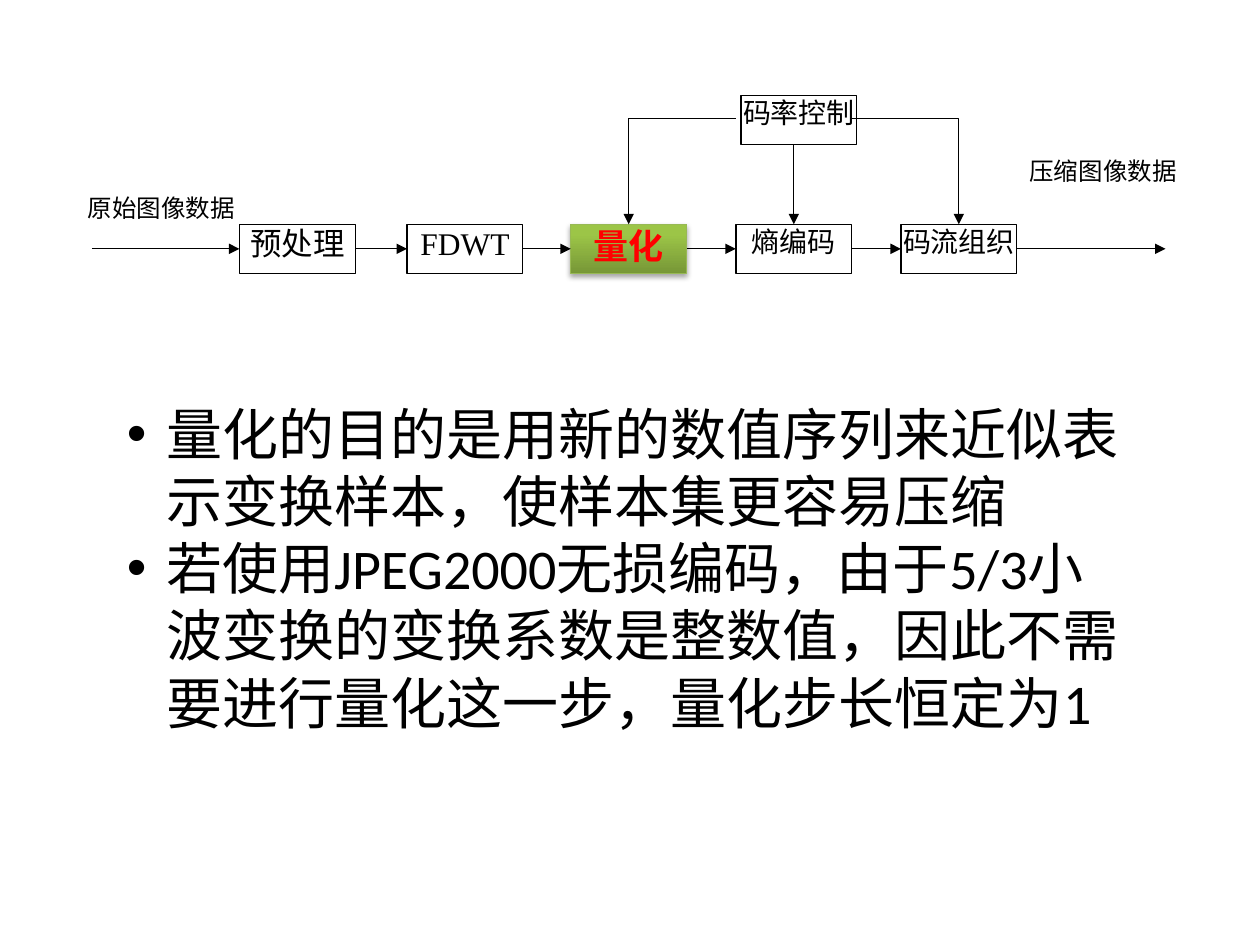
"""Build the slide on quantization in the JPEG2000 coding chain."""
from lxml.etree import SubElement
from pptx import Presentation
from pptx.dml.color import RGBColor
from pptx.enum.shapes import MSO_CONNECTOR as Link, MSO_SHAPE as Shape
from pptx.enum.text import MSO_ANCHOR as Anchor, PP_ALIGN as Align
from pptx.oxml import parse_xml
from pptx.oxml.ns import nsdecls, qn
from pptx.util import Inches, Pt

BLACK = RGBColor(0x00, 0x00, 0x00)
WHITE = RGBColor(0xFF, 0xFF, 0xFF)
RED = RGBColor(0xFF, 0x00, 0x00)
GREEN_DARK = RGBColor(0x77, 0x97, 0x37)
GREEN_LIGHT = RGBColor(0x9C, 0xC5, 0x47)
GREEN_EDGE = RGBColor(0x98, 0xB9, 0x55)

STAGES = [
    ("预处理", 18, 1.9),
    ("FDWT", 18, 3.23),
    ("量化", 20, 4.53),
    ("熵编码", 16, 5.84),
    ("码流组织", 16, 7.15),
]
CURRENT = 2
LABELS = [
    ("压缩图像数据", 8.03, 1.24, 1.45, 0.45),
    ("原始图像数据", 0.67, 1.53, 1.22, 0.39),
]
POINTS = [
    "量化的目的是用新的数值序列来近似表示变换样本，使样本集更容易压缩",
    "若使用JPEG2000无损编码，由于5/3小波变换的变换系数是整数值，"
    "因此不需要进行量化这一步，量化步长恒定为1",
]
BOX_WIDTH, BOX_HEIGHT = 0.92, 0.39
STAGE_TOP, CONTROL_LEFT, CONTROL_TOP = 1.78, 5.88, 0.76
FLOW_Y = STAGE_TOP + BOX_HEIGHT / 2
BRANCH_Y = 0.94


def add_box(page, text, size, left, top, width=BOX_WIDTH, height=BOX_HEIGHT, edge=BLACK):
    box = page.shapes.add_shape(
        Shape.RECTANGLE, Inches(left), Inches(top), Inches(width), Inches(height))
    box.shadow.inherit = False
    box.fill.solid()
    box.fill.fore_color.rgb = WHITE
    if edge is None:
        box.line.fill.background()
    else:
        box.line.color.rgb = edge
        box.line.width = Pt(0.75)
    frame = box.text_frame
    frame.margin_left = frame.margin_top = frame.margin_right = frame.margin_bottom = 0
    frame.vertical_anchor = Anchor.TOP
    frame.word_wrap = True
    para = frame.paragraphs[0]
    para.text = text
    para.alignment = Align.CENTER
    para.font.name = "Times New Roman"
    para.font.size = Pt(size)
    para.font.color.rgb = BLACK
    return box


def highlight(box):
    box.fill.gradient()
    box.fill.gradient_angle = 90
    for stop, color, position in zip(
            box.fill.gradient_stops, (GREEN_DARK, GREEN_LIGHT), (0, 0.8)):
        stop.color.rgb = color
        stop.position = position
    box.line.color.rgb = GREEN_EDGE
    font = box.text_frame.paragraphs[0].font
    font.bold = True
    font.color.rgb = RED
    effects = box._element.spPr.find(qn("a:effectLst"))
    effects.append(parse_xml(
        f'<a:outerShdw {nsdecls("a")} blurRad="39370" dist="22860" dir="5400000" '
        'rotWithShape="0"><a:srgbClr val="000000"><a:alpha val="35000"/>'
        '</a:srgbClr></a:outerShdw>'))


def add_arrow(page, start, end, kind=Link.STRAIGHT):
    arrow = page.shapes.add_connector(kind, *map(Inches, (*start, *end)))
    arrow.line.color.rgb = BLACK
    arrow.line.width = Pt(0.75)
    SubElement(arrow.line._get_or_add_ln(), qn("a:tailEnd"), type="triangle")
    properties = arrow._element.spPr
    SubElement(properties, qn("a:effectLst"))
    if kind == Link.ELBOW:
        properties.find(qn("a:prstGeom")).set("prst", "bentConnector2")
    return arrow


def add_flow(page):
    boxes = [add_box(page, text, size, left, STAGE_TOP) for text, size, left in STAGES]
    highlight(boxes[CURRENT])
    lefts = [left for _, _, left in STAGES]
    for index in range(len(boxes) - 1):
        arrow = add_arrow(
            page, (lefts[index] + BOX_WIDTH, FLOW_Y), (lefts[index + 1], FLOW_Y))
        arrow.begin_connect(boxes[index], 3)
        arrow.end_connect(boxes[index + 1], 1)
    add_arrow(page, (8.07, FLOW_Y), (9.25, FLOW_Y)).begin_connect(boxes[-1], 3)
    add_arrow(page, (0.73, FLOW_Y), (lefts[0], FLOW_Y)).end_connect(boxes[0], 1)
    for text, *place in LABELS:
        add_box(page, text, 14, *place, edge=None)

    add_box(page, "码率控制", 16, CONTROL_LEFT, CONTROL_TOP)
    quantizer, entropy, stream = (left + BOX_WIDTH / 2 for left in lefts[CURRENT:])
    down = add_arrow(page, (entropy, CONTROL_TOP + BOX_HEIGHT), (entropy, STAGE_TOP))
    down.end_connect(boxes[CURRENT + 1], 0)
    add_arrow(page, (6.76, BRANCH_Y), (stream, STAGE_TOP), Link.ELBOW)
    add_arrow(page, (5.84, BRANCH_Y), (quantizer, STAGE_TOP), Link.ELBOW)


def add_points(page):
    box = page.shapes.add_textbox(Inches(0.91), Inches(3.12), Inches(8.16), Inches(2.79))
    frame = box.text_frame
    frame.word_wrap = True
    for index, text in enumerate(POINTS):
        para = frame.add_paragraph() if index else frame.paragraphs[0]
        para.text = text
        properties = para._p.get_or_add_pPr()
        properties.set("marL", str(Inches(0.31)))
        properties.set("indent", str(Inches(-0.31)))
        SubElement(properties, qn("a:buFont"), typeface="Arial")
        SubElement(properties, qn("a:buChar"), char="•")
        para.font.name = "Calibri"
        para.font.size = Pt(32)
        para.font.color.rgb = BLACK


def main():
    deck = Presentation()
    deck.slide_width, deck.slide_height = Inches(10), Inches(7.5)
    page = deck.slides.add_slide(deck.slide_layouts[6])
    add_flow(page)
    add_points(page)
    deck.save("out.pptx")


if __name__ == "__main__":
    main()
